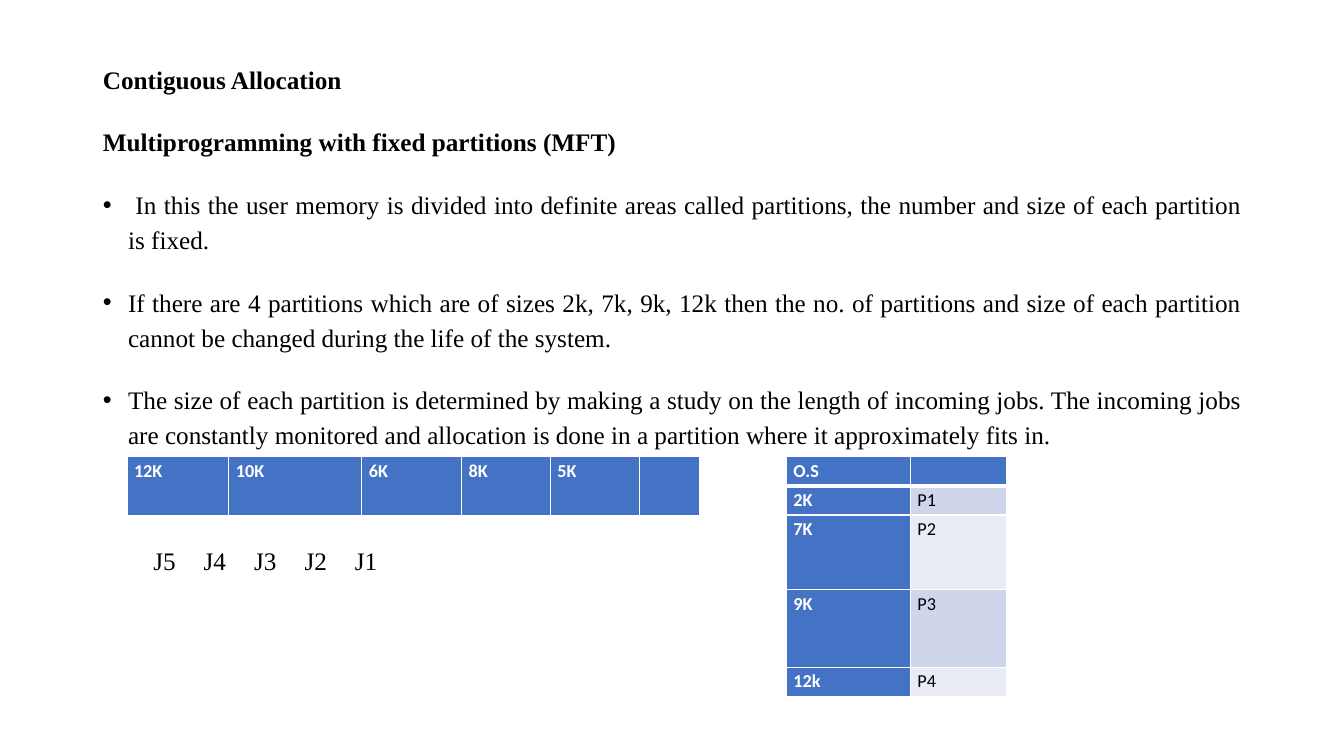
from dataclasses import dataclass
from typing import Any, NamedTuple

from lxml import etree
from pptx import Presentation
from pptx.dml.color import RGBColor
from pptx.enum.text import MSO_ANCHOR, MSO_AUTO_SIZE, PP_ALIGN
from pptx.oxml.ns import qn
from pptx.util import Inches, Pt

JUST, LEFT = PP_ALIGN.JUSTIFY, PP_ALIGN.LEFT
TOP, FIXED = MSO_ANCHOR.TOP, MSO_AUTO_SIZE.NONE


@dataclass(frozen=True)
class Theme:
    serif: str = "Times New Roman"
    sans: str = "Calibri"
    body: float = 18
    small: float = 13
    ink: str = "000000"
    white: str = "FFFFFF"
    blue: str = "4472C4"
    bands: tuple[str, str] = ("E9EBF5", "CFD5EA")
    lead: float = 1.15
    gap: float = 10


class Para(NamedTuple):
    text: str
    bold: bool = False
    dot: bool = False
    tabs: tuple[float, ...] = ()
    before: float = 10


class Grid(NamedTuple):
    left: float
    top: float
    cols: tuple[float, ...]
    rows: tuple[float, ...]
    cells: tuple[tuple[str, ...], ...]


THEME = Theme()

PARAS = (
    Para("Contiguous Allocation", bold=True, before=0),
    Para("Multiprogramming with fixed partitions (MFT)", bold=True),
    Para(" In this the user memory is divided into definite areas called partitions, "
         "the number and size of each partition is fixed.", dot=True),
    Para("If there are 4 partitions which are of sizes 2k, 7k, 9k, 12k then the no. of "
         "partitions and size of each partition cannot be changed during the life of "
         "the system.", dot=True),
    Para("The size of each partition is determined by making a study on the length of "
         "incoming jobs. The incoming jobs are constantly monitored and allocation is "
         "done in a partition where it approximately fits in.", dot=True),
    Para("\tJ5\tJ4\tJ3\tJ2\tJ1", tabs=(0.39, 1.37, 3, 4, 5), before=55),
)

GRIDS = (
    Grid(1.26, 4.53, (1.01, 1.32, 0.99, 0.88, 0.88, 0.6), (0.6,),
         (("12K", "10K", "6K", "8K", "5K", ""),)),
    Grid(7.8, 4.53, (1.23, 0.95), (0.29, 0.29, 0.74, 0.77, 0.29),
         (("O.S", ""), ("2K", "P1"), ("7K", "P2"), ("9K", "P3"), ("12k", "P4"))),
)


def apply(item: Any, form: dict[str, Any]) -> None:
    for name, value in form.items():
        setattr(item, name, value)


def write(para: Any, text: str, face: str, size: float, bold: bool, tint: str) -> None:
    run = para.add_run()
    run.text = text
    apply(run.font, {"name": face, "size": Pt(size), "bold": bold})
    run.font.color.rgb = RGBColor.from_string(tint)


def indent(para: Any, item: Para) -> None:
    """Set the hanging indent, the bullet and the tab stops."""
    props = para._p.get_or_add_pPr()
    hang = Inches(0.25) if item.dot else 0
    props.set("marL", str(hang))
    props.set("indent", str(-hang))
    if item.dot:
        etree.SubElement(props, qn("a:buChar"), char="•")
    else:
        etree.SubElement(props, qn("a:buNone"))
    if item.tabs:
        stops = etree.SubElement(props, qn("a:tabLst"))
        for stop in item.tabs:
            etree.SubElement(stops, qn("a:tab"), pos=str(Inches(stop)), algn="l")


def fill_body(body: Any) -> None:
    apply(body, {"left": Inches(0.92), "top": Inches(0.54),
                 "width": Inches(11.5), "height": Inches(6.63)})
    frame = body.text_frame
    apply(frame, {"word_wrap": True, "auto_size": FIXED, "vertical_anchor": TOP})
    for num, item in enumerate(PARAS):
        para = frame.add_paragraph() if num else frame.paragraphs[0]
        indent(para, item)
        apply(para, {"alignment": LEFT if item.tabs else JUST,
                     "line_spacing": THEME.lead,
                     "space_before": Pt(item.before), "space_after": Pt(THEME.gap)})
        write(para, item.text, THEME.serif, THEME.body, item.bold, THEME.ink)


def edge(cell: Any, head: bool) -> None:
    """Draw white borders, with a thick one below a header cell."""
    props = cell._tc.get_or_add_tcPr()
    for side in "LRTB":
        width = Pt(3 if head and side == "B" else 1)
        line = etree.SubElement(props, qn(f"a:ln{side}"), w=str(width))
        solid = etree.SubElement(line, qn("a:solidFill"))
        etree.SubElement(solid, qn("a:srgbClr"), val=THEME.white)


def fill_cell(cell: Any, text: str, row: int, col: int) -> None:
    dark = row == 0 or col == 0
    edge(cell, row == 0)
    apply(cell, {"margin_left": Inches(0.07), "margin_right": Inches(0.07),
                 "margin_top": 0, "margin_bottom": 0, "vertical_anchor": TOP})
    cell.fill.solid()
    back = THEME.blue if dark else THEME.bands[row % 2]
    cell.fill.fore_color.rgb = RGBColor.from_string(back)
    para = cell.text_frame.paragraphs[0]
    apply(para, {"alignment": JUST, "line_spacing": THEME.lead})
    if text:
        tint = THEME.white if dark else THEME.ink
        write(para, text, THEME.sans, THEME.small, dark, tint)
    else:
        etree.SubElement(para._p, qn("a:endParaRPr"), sz=str(int(THEME.small * 100)))


def draw_grid(slide: Any, grid: Grid) -> None:
    table = slide.shapes.add_table(
        len(grid.rows), len(grid.cols), Inches(grid.left), Inches(grid.top),
        Inches(sum(grid.cols)), Inches(sum(grid.rows))).table
    for col, width in zip(table.columns, grid.cols):
        col.width = Inches(width)
    for row, height in zip(table.rows, grid.rows):
        row.height = Inches(height)
    for row, texts in enumerate(grid.cells):
        for col, text in enumerate(texts):
            fill_cell(table.cell(row, col), text, row, col)


def main() -> None:
    deck = Presentation()
    apply(deck, {"slide_width": Inches(13.33), "slide_height": Inches(7.5)})
    slide = deck.slides.add_slide(deck.slide_layouts.get_by_name("Title and Content"))

    # Headings, bullets and job labels share the body placeholder
    title = slide.shapes.title
    title.element.getparent().remove(title.element)
    fill_body(slide.placeholders[1])

    # Job queue and memory partitions
    for grid in GRIDS:
        draw_grid(slide, grid)
    deck.save("out.pptx")


if __name__ == "__main__":
    main()
